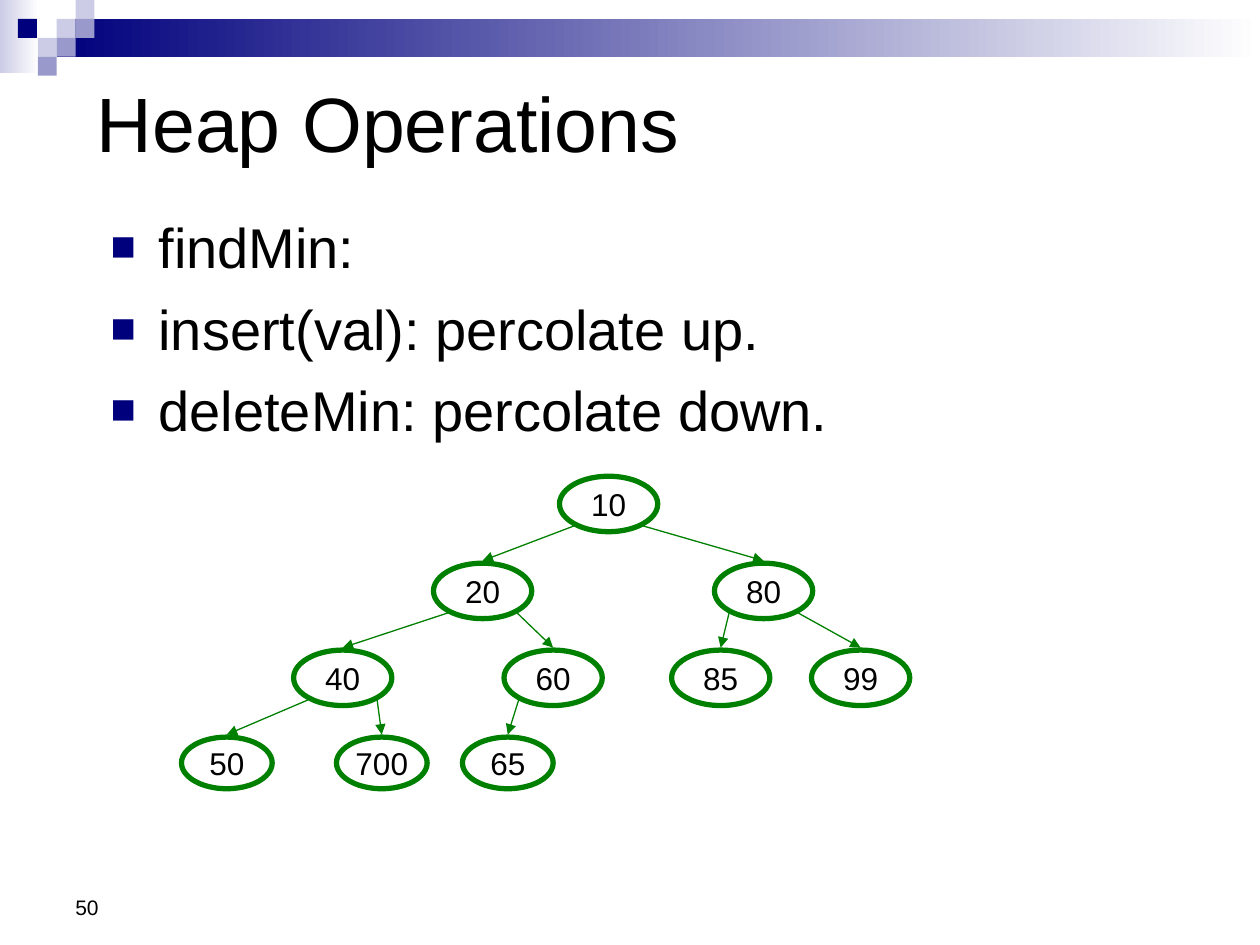
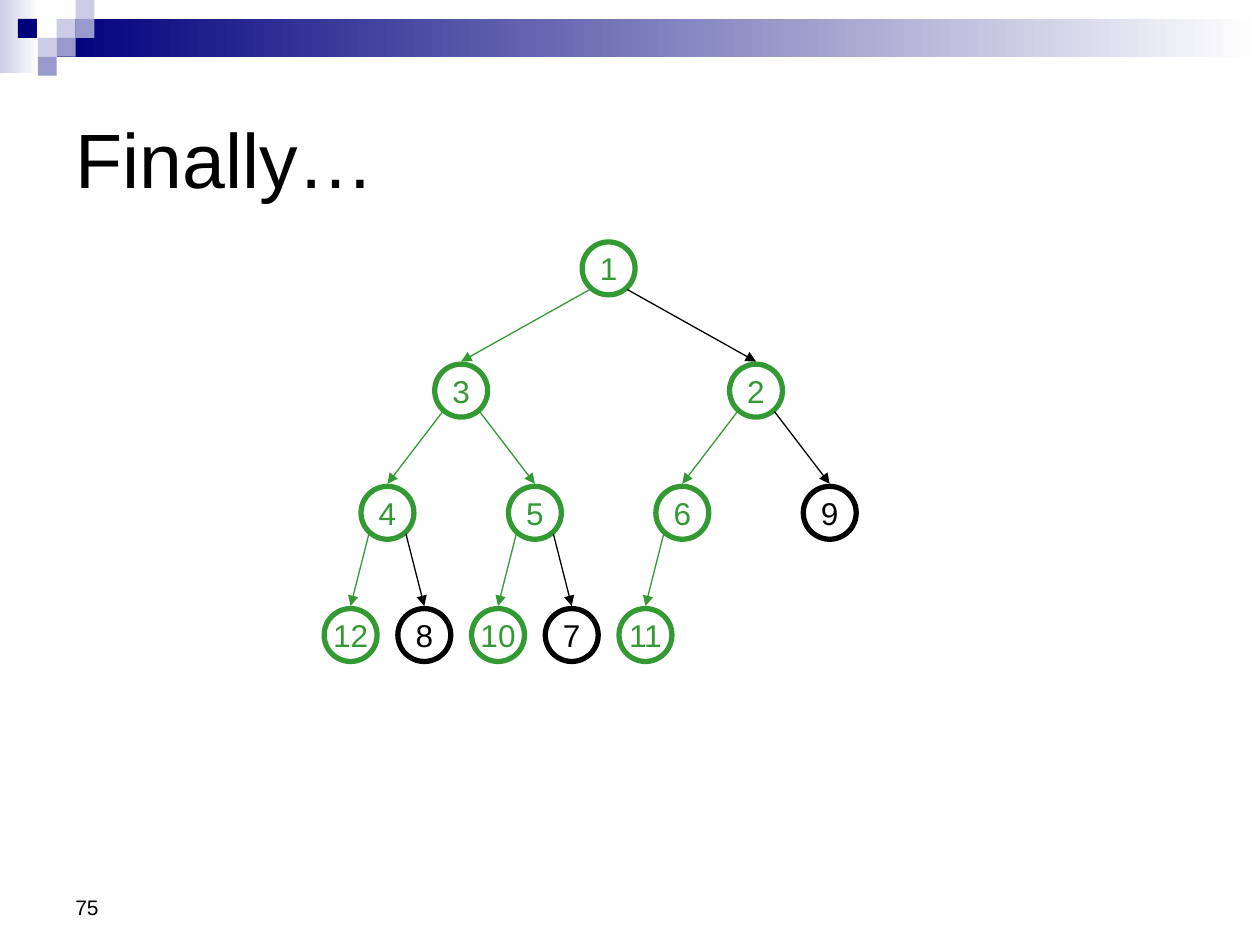
from dataclasses import dataclass

from pptx import Presentation
from pptx.dml.color import RGBColor
from pptx.enum.shapes import MSO_CONNECTOR, MSO_SHAPE
from pptx.enum.text import MSO_ANCHOR, PP_ALIGN
from pptx.oxml.ns import qn
from pptx.oxml.xmlchemy import OxmlElement
from pptx.util import Inches, Pt


@dataclass(frozen=True)
class Theme:
    font: str = "Arial"
    black: str = "000000"
    white: str = "FFFFFF"
    navy: str = "00007D"
    periwinkle: str = "9999CC"
    lavender: str = "CCCCE6"
    heap_green: str = "008000"
    settled_green: str = "339933"
    title_size: float = 44
    body_size: float = 32
    node_size: float = 18
    number_size: float = 12
    node_line: float = 3
    edge_line: float = 0.75
    bullet_gap: float = 8


THEME = Theme()

FADES = [
    ((0, 0, 0.31, 0.58), THEME.lavender),
    ((0.45, 0.15, 9.55, 0.3), THEME.navy),
]
TILE = 0.15
TILES = [
    (3, 1, THEME.lavender),
    (4, 0, THEME.lavender),
    (4, 1, THEME.periwinkle),
    (2, 2, THEME.lavender),
    (0.95, 1, THEME.navy),
    (3, 2, THEME.periwinkle),
    (2, 3, THEME.periwinkle),
]
NUMBER_BOX = (0.5, 6.83, 2.33, 0.52)

OPERATIONS = {
    "number": "50",
    "title": "Heap Operations",
    "title_box": (0.67, 0.59, 8.5, 0.75),
}
BULLETS = ["findMin:", "insert(val): percolate up.", "deleteMin: percolate down."]
BULLET_BOX = (0.78, 1.64, 8.5, 1.83)
BULLET_INDENT = 0.38

OPERATIONS_HEAP = [
    ("10", 4.83), ("20", 3.83), ("80", 6.06), ("40", 2.72), ("60", 4.39),
    ("85", 5.72), ("99", 6.83), ("50", 1.8), ("700", 3.03), ("65", 4.03),
]
OPERATIONS_TOP, OPERATIONS_STEP = 3.78, 0.69
INNER_OVAL, LEAF_OVAL = (0.78, 0.44), (0.72, 0.41)

FINAL = {"number": "75", "title": "Finally…", "title_box": (0.5, 0.5, 9, 1.5)}
FINAL_HEAP = ["1", "3", "2", "4", "5", "6", "9", "12", "8", "10", "7", "11"]
UNTOUCHED_NODES = {"9", "8", "7"}
UNTOUCHED_EDGES = UNTOUCHED_NODES | {"2"}
FINAL_TOP, FINAL_STEP = 1.92, 0.97
FINAL_ROOT_X, FINAL_SPREAD = 4.83, 1.17
FINAL_OVAL = (0.42, 0.42)

OVAL_DIAGONAL = 0.35
EDGE_GAP = 0.02


def rgb(color):
    return RGBColor.from_string(color)


def inches(box):
    return [Inches(length) for length in box]


def write(paragraph, text, size, color=THEME.black):
    run = paragraph.add_run()
    run.text = text
    run.font.name = THEME.font
    run.font.size = Pt(size)
    run.font.color.rgb = rgb(color)


def add_text_frame(slide, box, anchor):
    frame = slide.shapes.add_textbox(*inches(box)).text_frame
    frame.word_wrap = True
    frame.vertical_anchor = anchor
    return frame


def add_block(slide, box):
    block = slide.shapes.add_shape(MSO_SHAPE.RECTANGLE, *inches(box))
    block.shadow.inherit = False
    block.line.fill.background()
    return block


def add_masthead(slide):
    for box, start_color in FADES:
        fill = add_block(slide, box).fill
        fill.gradient()
        fill.gradient_angle = 0
        for stop, color in zip(fill.gradient_stops, (start_color, THEME.white)):
            stop.color.rgb = rgb(color)
    for column, row, color in TILES:
        tile = add_block(slide, (column * TILE, row * TILE, TILE, TILE))
        tile.fill.solid()
        tile.fill.fore_color.rgb = rgb(color)


def add_heading_slide(deck, content):
    slide = deck.slides.add_slide(deck.slide_layouts[6])
    add_masthead(slide)
    number = add_text_frame(slide, NUMBER_BOX, MSO_ANCHOR.BOTTOM)
    write(number.paragraphs[0], content["number"], THEME.number_size)
    title = add_text_frame(slide, content["title_box"], MSO_ANCHOR.MIDDLE)
    write(title.paragraphs[0], content["title"], THEME.title_size)
    return slide


def set_square_bullet(paragraph):
    properties = paragraph._p.get_or_add_pPr()
    properties.set("marL", str(Inches(BULLET_INDENT)))
    properties.set("indent", str(-Inches(BULLET_INDENT)))
    color = OxmlElement("a:buClr")
    swatch = OxmlElement("a:srgbClr")
    swatch.set("val", THEME.navy)
    color.append(swatch)
    properties.append(color)
    for tag, attribute, value in (
        ("a:buSzPct", "val", "75000"),
        ("a:buFont", "typeface", THEME.font),
        ("a:buChar", "char", "■"),
    ):
        part = OxmlElement(tag)
        part.set(attribute, value)
        properties.append(part)


def add_bullets(slide):
    frame = add_text_frame(slide, BULLET_BOX, MSO_ANCHOR.TOP)
    for index, text in enumerate(BULLETS):
        paragraph = frame.add_paragraph() if index else frame.paragraphs[0]
        set_square_bullet(paragraph)
        if index:
            paragraph.space_before = Pt(THEME.bullet_gap)
        write(paragraph, text, THEME.body_size)


def add_node(slide, node):
    width, height = node["oval"]
    box = (node["x"] - width / 2, node["top"], width, height)
    oval = slide.shapes.add_shape(MSO_SHAPE.OVAL, *inches(box))
    oval.shadow.inherit = False
    oval.fill.background()
    oval.line.color.rgb = rgb(node["color"])
    oval.line.width = Pt(THEME.node_line)
    frame = oval.text_frame
    frame.word_wrap = False
    frame.vertical_anchor = MSO_ANCHOR.MIDDLE
    label = frame.paragraphs[0]
    label.alignment = PP_ALIGN.CENTER
    write(label, node["key"], THEME.node_size, node["text_color"])


def add_edge(slide, parent, child, side):
    width, height = parent["oval"]
    ends = (
        parent["x"] + side * OVAL_DIAGONAL * width,
        parent["top"] + (0.5 + OVAL_DIAGONAL) * height + EDGE_GAP,
        child["x"],
        child["top"] - EDGE_GAP,
    )
    edge = slide.shapes.add_connector(MSO_CONNECTOR.STRAIGHT, *inches(ends))
    edge.line.color.rgb = rgb(child["edge_color"])
    edge.line.width = Pt(THEME.edge_line)
    arrowhead = OxmlElement("a:tailEnd")
    arrowhead.set("type", "triangle")
    properties = edge.element.spPr
    properties.find(qn("a:ln")).append(arrowhead)
    properties.append(OxmlElement("a:effectLst"))


def add_heap(slide, nodes):
    for index, node in enumerate(nodes):
        add_node(slide, node)
        if index:
            side = -1 if index % 2 else 1
            add_edge(slide, nodes[(index - 1) // 2], node, side)


def level_of(index):
    return (index + 1).bit_length() - 1


def operations_nodes():
    return [
        {
            "key": key,
            "x": x,
            "top": OPERATIONS_TOP + level_of(index) * OPERATIONS_STEP,
            "oval": LEAF_OVAL if level_of(index) == 3 else INNER_OVAL,
            "color": THEME.heap_green,
            "text_color": THEME.black,
            "edge_color": THEME.heap_green,
        }
        for index, (key, x) in enumerate(OPERATIONS_HEAP)
    ]


def final_nodes():
    nodes = []
    for index, key in enumerate(FINAL_HEAP):
        level = level_of(index)
        x = FINAL_ROOT_X
        if index:
            side = -1 if index % 2 else 1
            x = nodes[(index - 1) // 2]["x"] + side * FINAL_SPREAD / 2 ** (level - 1)
        color = THEME.black if key in UNTOUCHED_NODES else THEME.settled_green
        nodes.append({
            "key": key,
            "x": x,
            "top": FINAL_TOP + level * FINAL_STEP,
            "oval": FINAL_OVAL,
            "color": color,
            "text_color": color,
            "edge_color": THEME.black if key in UNTOUCHED_EDGES else THEME.settled_green,
        })
    return nodes


def main():
    deck = Presentation()
    deck.slide_width, deck.slide_height = Inches(10), Inches(7.5)
    operations = add_heading_slide(deck, OPERATIONS)
    add_bullets(operations)
    add_heap(operations, operations_nodes())
    final = add_heading_slide(deck, FINAL)
    add_heap(final, final_nodes())
    deck.save("out.pptx")


if __name__ == "__main__":
    main()
